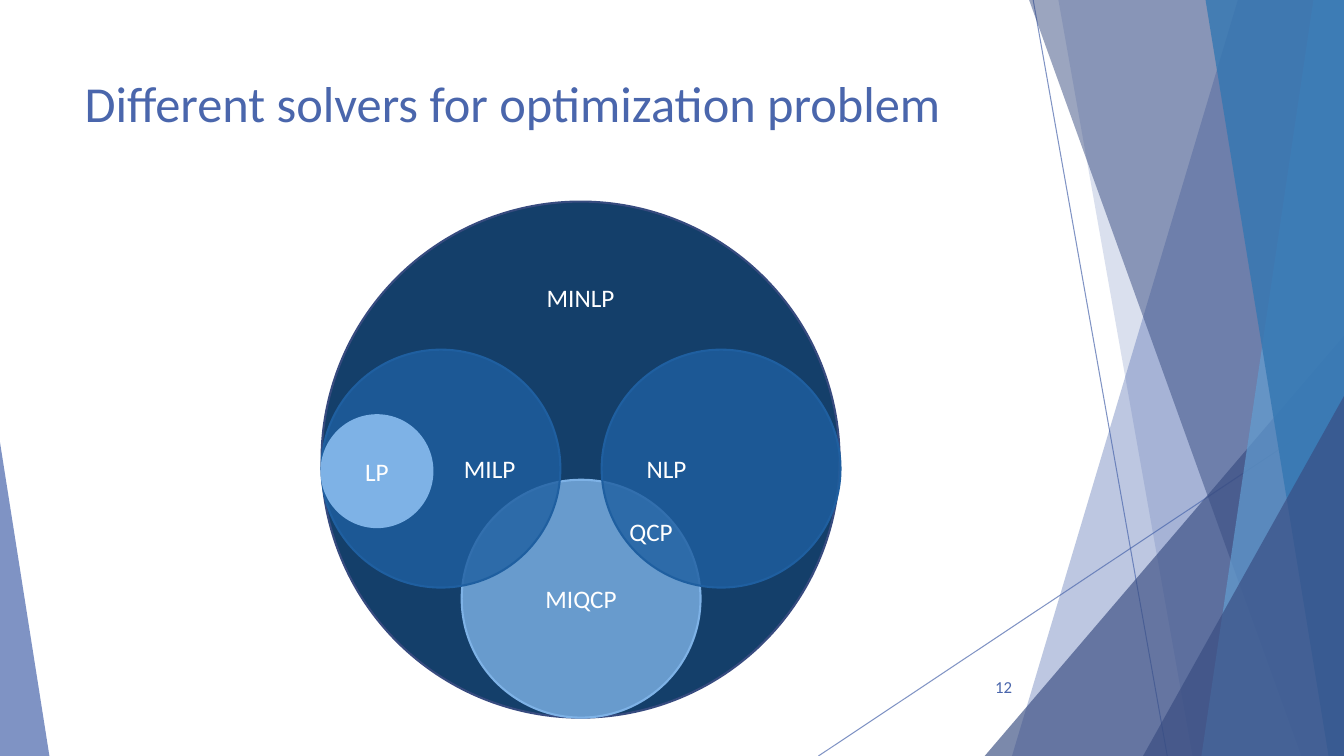
"""Build a slide that nests the solver classes of optimization problems."""
from lxml import etree
from pptx import Presentation
from pptx.dml.color import RGBColor
from pptx.enum.shapes import MSO_CONNECTOR, MSO_SHAPE
from pptx.enum.text import MSO_ANCHOR, MSO_AUTO_SIZE, PP_ALIGN
from pptx.oxml.ns import qn
from pptx.util import Pt

STRAIGHT = MSO_CONNECTOR.STRAIGHT
OVAL, TRIANGLE = MSO_SHAPE.OVAL, MSO_SHAPE.ISOSCELES_TRIANGLE
TOP, MIDDLE = MSO_ANCHOR.TOP, MSO_ANCHOR.MIDDLE
LEFT, CENTER, RIGHT = PP_ALIGN.LEFT, PP_ALIGN.CENTER, PP_ALIGN.RIGHT
NO_AUTOFIT = MSO_AUTO_SIZE.NONE

INDIGO = RGBColor(0x4A, 0x66, 0xAC)
DARK_INDIGO = RGBColor(0x38, 0x4C, 0x81)
OUTLINE = RGBColor(0x37, 0x4B, 0x7F)
SKY = RGBColor(0x62, 0x9D, 0xD1)
OCEAN = RGBColor(0x34, 0x77, 0xB2)
NAVY = RGBColor(0x14, 0x3F, 0x6A)
BLUE = RGBColor(0x1F, 0x5F, 0xA0)
PALE_BLUE = RGBColor(0x7E, 0xB2, 0xE6)
WHITE = RGBColor(0xFF, 0xFF, 0xFF)

WIDTH, HEIGHT = 960, 540
BIG, MEDIUM, SMALL = (370, 368.6), (170.6, 169.9), (79.2, 79.9)
LEFT_EDGE, UPPER_EDGE = 229.7, 249.8

BANDS = [
    (884.2, 722.9, INDIGO, 36),
    (756, 851.8, INDIGO, 20),
    (735.1, 929.5, DARK_INDIGO, 50),
    (938.2, 858.2, SKY, 70),
    (861.1, 949, OCEAN, 80),
]
SOLVERS = [
    ("MINLP", LEFT_EDGE, 144, BIG, NAVY, OUTLINE, 100, CENTER, TOP),
    ("MIQCP", 329.8, 342.7, MEDIUM, PALE_BLUE, PALE_BLUE, 80, CENTER, MIDDLE),
    ("MILP", LEFT_EDGE, UPPER_EDGE, MEDIUM, BLUE, BLUE, 80, RIGHT, MIDDLE),
    ("NLP", 429.8, UPPER_EDGE, MEDIUM, BLUE, BLUE, 80, LEFT, MIDDLE),
    ("LP", LEFT_EDGE, 296.6, SMALL, PALE_BLUE, PALE_BLUE, 100, CENTER, MIDDLE),
    ("QCP", 425.5, 339.8, SMALL, None, None, 100, CENTER, MIDDLE),
]


class SolverSlide:
    """Holds the font and the slide, and draws each kind of element."""

    font = "Calibri"

    def __init__(self, deck):
        """Add a title-only slide to the deck."""
        self.slide = deck.slides.add_slide(deck.slide_layouts[5])
        self.shapes = self.slide.shapes

    def label(self, shape, words, size, color, align, anchor):
        """Put formatted words into a shape."""
        frame = shape.text_frame
        frame.text = words
        frame.word_wrap = True
        frame.auto_size = NO_AUTOFIT
        frame.vertical_anchor = anchor
        paragraph = frame.paragraphs[0]
        paragraph.alignment = align
        font = paragraph.runs[0].font
        font.name, font.size, font.color.rgb = self.font, Pt(size), color

    def set_alpha(self, shape, opacity):
        """Make the first colour of a shape partly transparent."""
        if opacity < 100:
            color = shape._element.spPr.find(".//" + qn("a:srgbClr"))
            etree.SubElement(color, qn("a:alpha"), val=str(opacity * 1000))

    def paint(self, shape, fill, opacity=100, outline=None):
        """Set the fill, outline and shadow of a shape."""
        shape.shadow.inherit = False
        if fill is None:
            shape.fill.background()
        else:
            shape.fill.solid()
            shape.fill.fore_color.rgb = fill
            self.set_alpha(shape, opacity)
        if outline is None:
            shape.line.fill.background()
        else:
            shape.line.color.rgb = outline
            shape.line.width = Pt(1.5)

    def title(self, words):
        """Place the slide title."""
        title = self.shapes.title
        title.left, title.top = Pt(53.3), Pt(48)
        title.width, title.height = Pt(676.8), Pt(104)
        self.label(title, words, 36, INDIGO, LEFT, TOP)

    def page_number(self, number):
        """Place the page number."""
        box = self.shapes.add_textbox(Pt(676), Pt(475.9), Pt(54), Pt(28.8))
        self.label(box, number, 12, INDIGO, RIGHT, MIDDLE)

    def ray(self, x1, y1, x2, y2):
        """Draw a thin decorative line."""
        ray = self.shapes.add_connector(STRAIGHT, Pt(x1), Pt(y1), Pt(x2), Pt(y2))
        ray.line.color.rgb = INDIGO
        ray.line.width = Pt(0.75)
        self.set_alpha(ray, 70)
        etree.SubElement(ray._element.spPr, qn("a:effectLst"))

    def band(self, top_x, bottom_x, color, opacity):
        """Draw a band from a slanted edge to the right side."""
        builder = self.shapes.build_freeform(Pt(top_x), 0, scale=1.0)
        corners = [(WIDTH, 0), (WIDTH, HEIGHT), (bottom_x, HEIGHT)]
        builder.add_line_segments([(Pt(x), Pt(y)) for x, y in corners])
        self.paint(builder.convert_to_shape(), color, opacity)

    def corner(self, left, top, width, apex, color, opacity):
        """Draw a right triangle standing on the bottom edge."""
        corner = self.shapes.add_shape(
            TRIANGLE, Pt(left), Pt(top), Pt(width), Pt(HEIGHT - top))
        corner.adjustments[0] = apex
        self.paint(corner, color, opacity)

    def solver(self, name, left, top, size, fill, outline, opacity, align, anchor):
        """Draw one labelled solver class."""
        width, height = size
        solver = self.shapes.add_shape(
            OVAL, Pt(left), Pt(top), Pt(width), Pt(height))
        self.paint(solver, fill, opacity, outline)
        self.label(solver, name, 18, WHITE, align, anchor)


def main():
    """Compose and save the slide."""
    deck = Presentation()
    deck.slide_width, deck.slide_height = Pt(WIDTH), Pt(HEIGHT)
    page = SolverSlide(deck)
    page.ray(738, 0, 833.8, HEIGHT)
    page.ray(WIDTH, 290.2, 584.6, HEIGHT)
    for band in BANDS[:2]:
        page.band(*band)
    page.corner(703.4, 239.8, 256.6, 1, DARK_INDIGO, 66)
    for band in BANDS[2:]:
        page.band(*band)
    page.corner(816.5, 283, 143.5, 1, DARK_INDIGO, 66)
    page.corner(0, 316, 35.3, 0, INDIGO, 70)
    page.title("Different solvers for optimization problem")
    page.page_number("12")
    for solver in SOLVERS:
        page.solver(*solver)
    deck.save("out.pptx")


if __name__ == "__main__":
    main()
